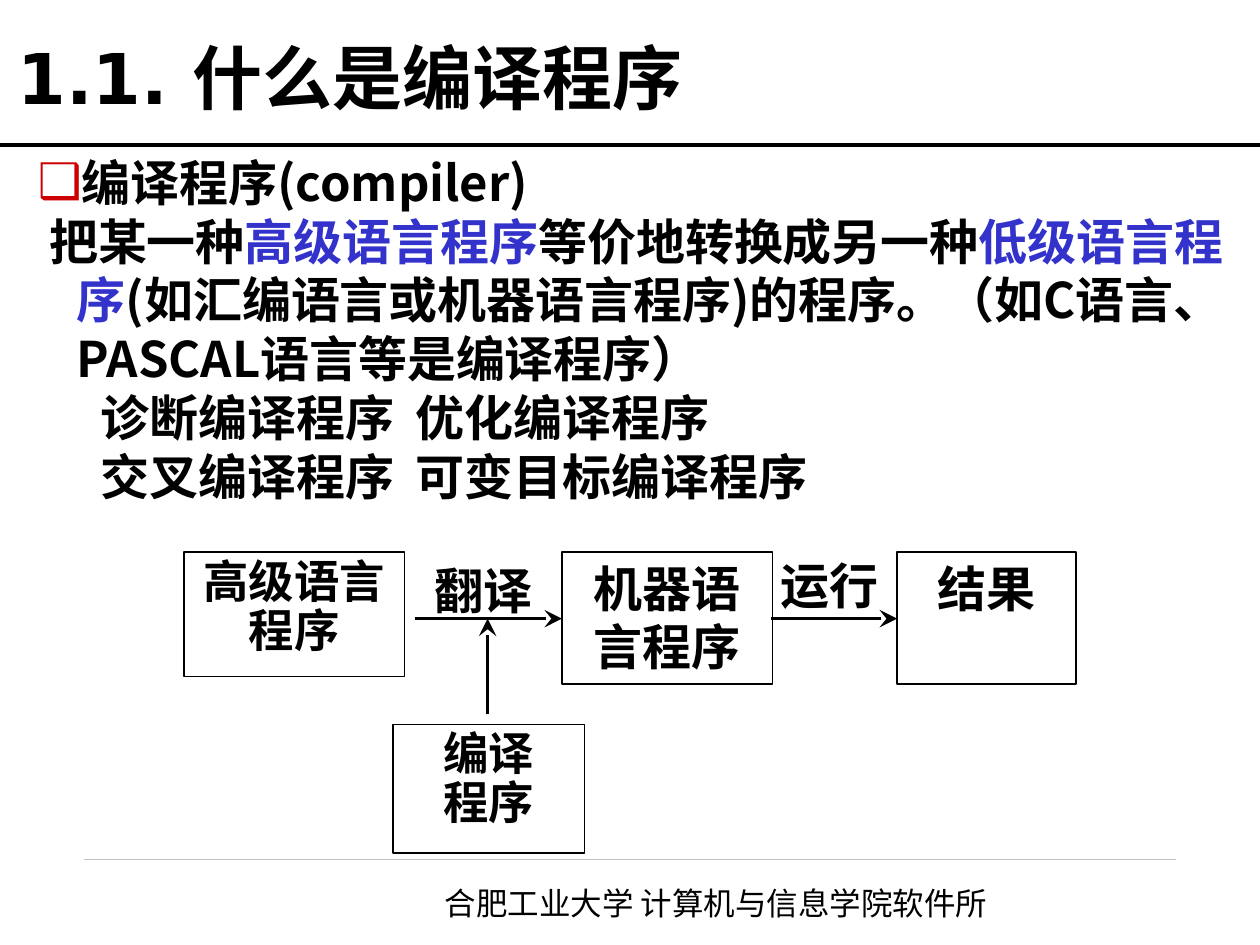
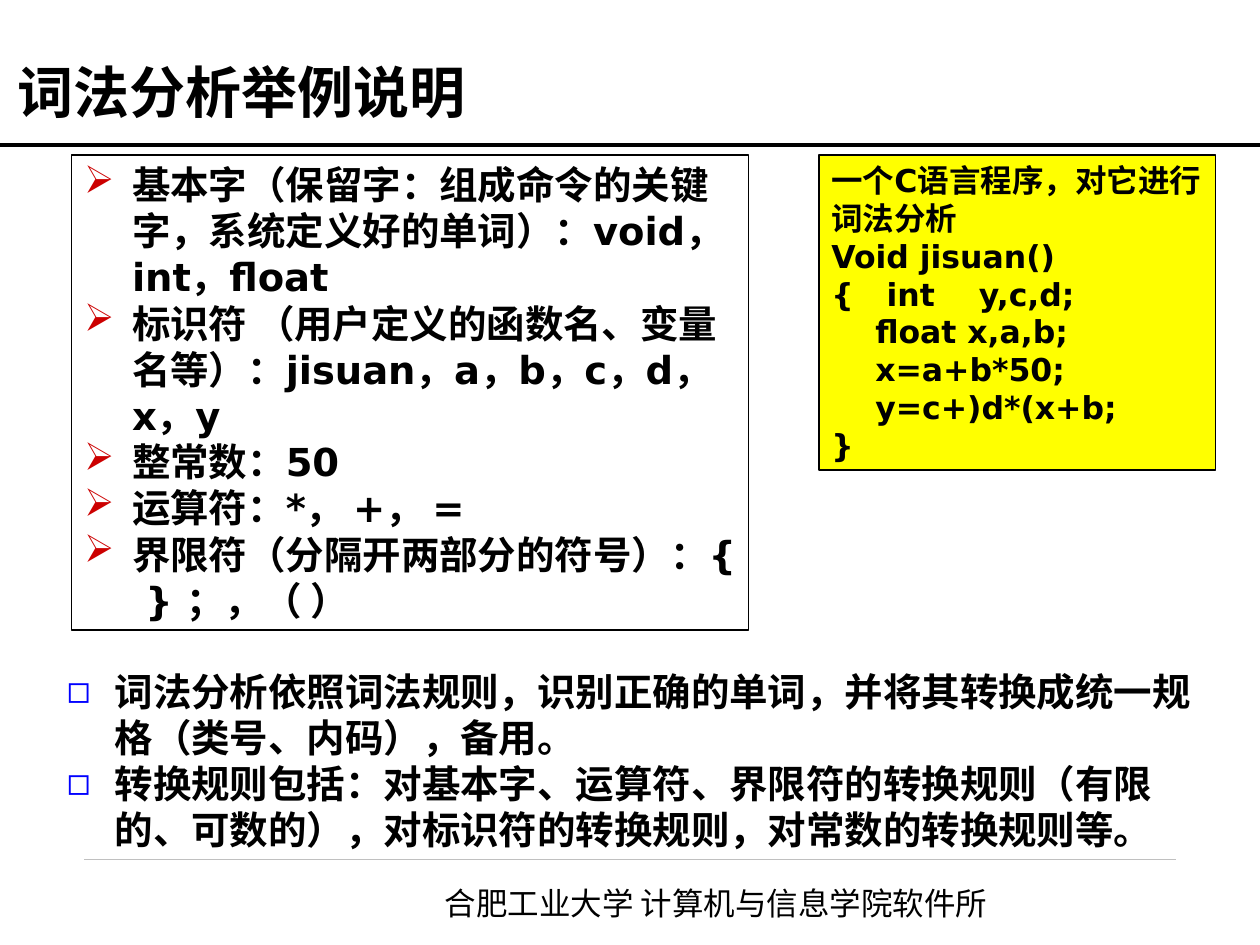
"""Builds two lecture slides on compilers and lexical analysis."""
from lxml import etree
from pptx import Presentation
from pptx.dml.color import RGBColor
from pptx.enum.shapes import MSO_CONNECTOR, MSO_SHAPE
from pptx.enum.text import MSO_ANCHOR, MSO_AUTO_SIZE, PP_ALIGN
from pptx.oxml.ns import qn
from pptx.util import Pt

PX = 9144
LEFT, CENTER = PP_ALIGN.LEFT, PP_ALIGN.CENTER
TOP, MIDDLE, BOTTOM = MSO_ANCHOR.TOP, MSO_ANCHOR.MIDDLE, MSO_ANCHOR.BOTTOM
FIXED = MSO_AUTO_SIZE.NONE
RECT, STRAIGHT = MSO_SHAPE.RECTANGLE, MSO_CONNECTOR.STRAIGHT
HEX = {"ink": "000000", "term": "3333CC", "red": "CC0000", "blue": "0000FF",
       "code": "FFFF00", "rule": "C0C0C0"}
RGB = {name: RGBColor.from_string(code) for name, code in HEX.items()}
SANS, CJK, SERIF = "DejaVu Sans", "Noto Sans CJK SC", "Times New Roman"


def write(shape, box, paras, size, face=CJK, align=LEFT, anchor=TOP,
          bold=True, lead=1.2):
    """Place a shape and fill it with (parts, margin, indent, bullet, tabs)."""
    shape.left, shape.top, shape.width, shape.height = [n * PX for n in box]
    frame = shape.text_frame
    frame.word_wrap, frame.auto_size = True, FIXED
    frame.vertical_anchor = anchor
    for i, (parts, margin, indent, bullet, tabs) in enumerate(paras):
        para = frame.add_paragraph() if i else frame.paragraphs[0]
        para.alignment = align
        para.line_spacing = Pt(round(size * lead, 1))
        para.space_before = para.space_after = Pt(0)
        props = para._p.get_or_add_pPr()
        props.set("marL", str(margin * PX))
        props.set("indent", str(indent * PX))
        props.set("hangingPunct", "0")
        if bullet:
            mark, tint = bullet
            color = etree.SubElement(props, qn("a:buClr"))
            etree.SubElement(color, qn("a:srgbClr"), val=HEX[tint])
            etree.SubElement(props, qn("a:buChar"), char=mark)
        else:
            etree.SubElement(props, qn("a:buNone"))
        if tabs:
            stops = etree.SubElement(props, qn("a:tabLst"))
            for stop in tabs:
                etree.SubElement(stops, qn("a:tab"), pos=str(stop * PX), algn="l")
        font = para.font
        font.size, font.bold, font.name = Pt(size), bold, face
        font.color.rgb = RGB["ink"]
        etree.SubElement(props.find(qn("a:defRPr")), qn("a:ea"), typeface=CJK)
        for text, tint in parts:
            run = para.add_run()
            run.text = text
            if tint != "ink":
                run.font.color.rgb = RGB[tint]


def draw(slide, ends, width, tint="ink", arrow=False):
    """Draw a straight line, with an arrowhead at its end if asked."""
    line = slide.shapes.add_connector(STRAIGHT, *[n * PX for n in ends])
    line.line.width, line.line.color.rgb = Pt(width), RGB[tint]
    if arrow:
        etree.SubElement(line.line._get_or_add_ln(), qn("a:tailEnd"),
                         type="stealth", w="lg", len="lg")
    etree.SubElement(line._element.spPr, qn("a:effectLst"))


deck = Presentation()
deck.slide_width, deck.slide_height = 1000 * PX, 750 * PX
heads = [("1.1. 什么是编译程序", (4, 16, 850, 83), 40, SANS),
         ("词法分析举例说明", (4, 21, 875, 83), 32, CJK)]
for text, box, size, face in heads:
    slide = deck.slides.add_slide(deck.slide_layouts[1])
    draw(slide, (67, 682, 933, 682), 0.25, "rule")
    draw(slide, (0, 115, 1000, 115), 2.25)
    foot = slide.shapes.add_textbox(0, 0, PX, PX)
    note = [("合肥工业大学 计算机与信息学院软件所", "ink")]
    write(foot, (343, 697, 480, 40), [(note, 0, 0, None, None)], 18, bold=False)
    write(slide.shapes.title, box, [([(text, "ink")], 0, 0, None, None)],
          size, face, anchor=BOTTOM)
intro, lexer = deck.slides

kinds = ["\t诊断编译程序\t优化编译程序", "\t交叉编译程序\t可变目标编译程序"]
about = [("把某一种", "ink"), ("高级语言程序", "term"),
         ("等价地转换成另一种", "ink"), ("低级语言程序", "term"),
         ("(如汇编语言或机器语言程序)的程序。（如C语言、PASCAL语言等是编译程序）", "ink")]
paras = [([("编译程序(compiler)", "ink")], 31, -31, ("❑", "red"), None),
         (about, 31, -22, None, None)]
paras += [([(kind, "ink")], 0, 0, None, (52, 452)) for kind in kinds]
write(intro.placeholders[1], (20, 116, 980, 290), paras, 28)

for ends in [(329, 491, 446, 491), (612, 491, 712, 491), (387, 567, 387, 491)]:
    draw(intro, ends, 2, arrow=True)
steps = [(["高级语言程序"], (146, 438, 175, 99), 25.9, CJK, 1.08),
         (["机器语言程序"], (446, 438, 167, 105), 28, CJK, 1.2),
         (["结果"], (712, 438, 142, 105), 28, SERIF, 1.2),
         (["编译", "程序"], (312, 575, 152, 102), 25.9, CJK, 1.08)]
for texts, box, size, face, lead in steps:
    step = intro.shapes.add_shape(RECT, 0, 0, PX, PX)
    step.shadow.inherit = False
    step.fill.background()
    step.line.width, step.line.color.rgb = Pt(0.75), RGB["ink"]
    paras = [([(text, "ink")], 0, 0, None, None) for text in texts]
    write(step, box, paras, size, face, CENTER, lead=lead)
for text, box in [("翻译", (321, 438, 125, 61)), ("运行", (596, 430, 125, 68))]:
    label = intro.shapes.add_textbox(0, 0, PX, PX)
    write(label, box, [([(text, "ink")], 0, 0, None, None)], 28, SERIF, CENTER, MIDDLE)

tokens = ["基本字（保留字：组成命令的关键字，系统定义好的单词）：void，int，float",
          "标识符 （用户定义的函数名、变量名等）：jisuan，a，b，c，d，x，y",
          "整常数：50",
          "运算符：*， +， =",
          "界限符（分隔开两部分的符号）：{  } ；，（ ）"]
code = ["一个C语言程序，对它进行词法分析",
        "Void jisuan()",
        "{   int    y,c,d;",
        "    float x,a,b;",
        "    x=a+b*50;",
        "    y=c+)d*(x+b;",
        "}"]
rules = ["词法分析依照词法规则，识别正确的单词，并将其转换成统一规格（类号、内码），备用。",
         "转换规则包括：对基本字、运算符、界限符的转换规则（有限的、可数的），"
         "对标识符的转换规则，对常数的转换规则等。"]
panels = [(tokens, (57, 123, 537, 377), 22, 38, ("➢", "red"), None),
          (code, (650, 123, 315, 250), 18, 0, None, "code")]
for texts, box, size, hang, bullet, tint in panels:
    panel = lexer.shapes.add_shape(RECT, 0, 0, PX, PX)
    panel.shadow.inherit = False
    panel.line.width, panel.line.color.rgb = Pt(0.75), RGB["ink"]
    if tint:
        panel.fill.solid()
        panel.fill.fore_color.rgb = RGB[tint]
    else:
        panel.fill.background()
    paras = [([(text, "ink")], hang, -hang, bullet, None) for text in texts]
    write(panel, box, paras, size, SANS)
paras = [([(text, "ink")], 38, -38, ("◻", "blue"), None) for text in rules]
write(lexer.placeholders[1], (43, 525, 929, 157), paras, 22, SANS)

deck.save("out.pptx")
